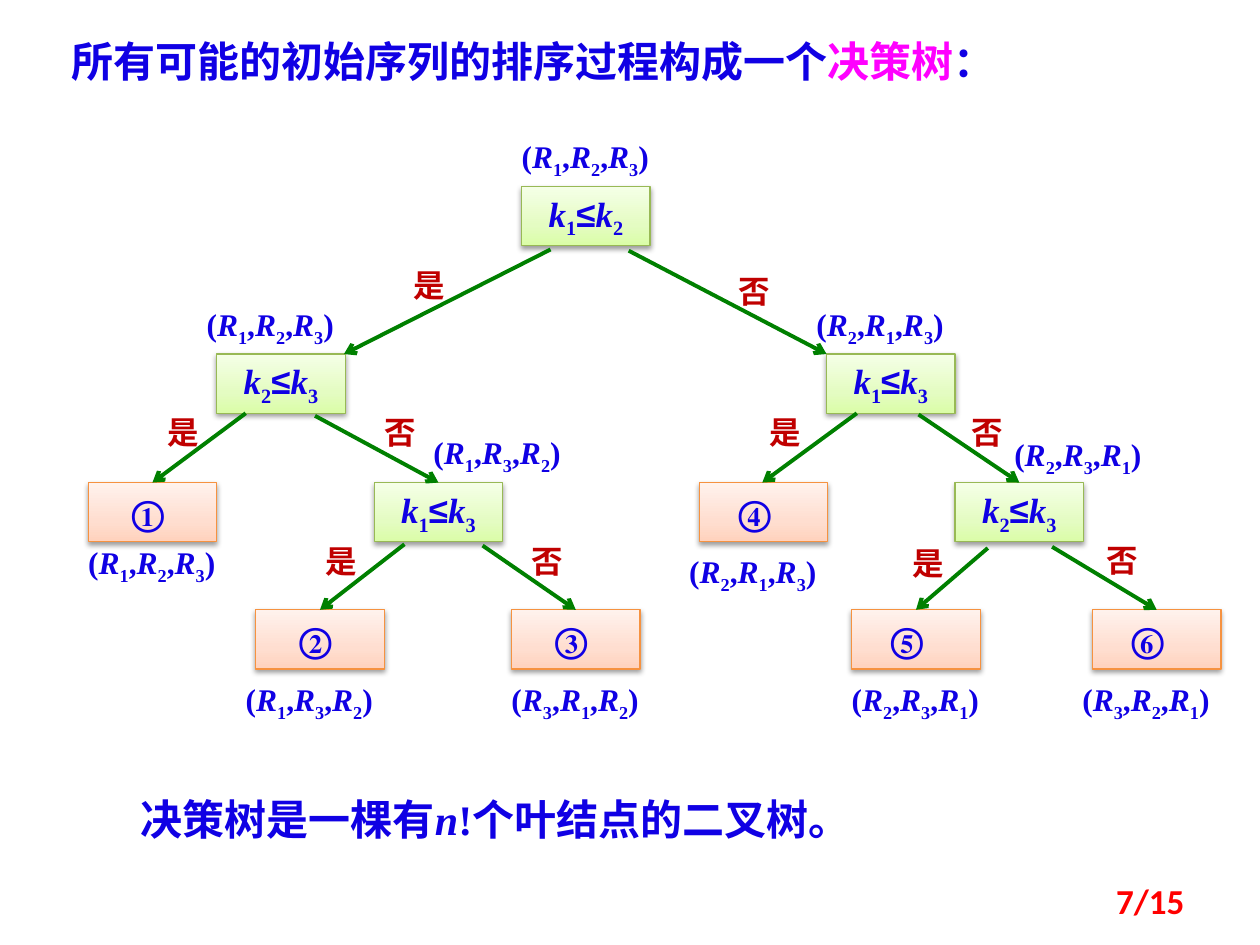
from dataclasses import dataclass

from lxml.etree import SubElement
from pptx import Presentation
from pptx.dml.color import RGBColor
from pptx.enum.shapes import MSO_CONNECTOR, MSO_SHAPE
from pptx.enum.text import MSO_ANCHOR, MSO_AUTO_SIZE, PP_ALIGN
from pptx.oxml.ns import qn
from pptx.util import Inches, Pt


@dataclass(frozen=True)
class Theme:
    ink: str = "1000E4"
    highlight: str = "FF00FF"
    answer: str = "C00000"
    arrow: str = "008000"
    page_number: str = "FF0000"
    test_line: str = "98B955"
    test_stops: tuple = ("DAFDA7", "E4FCC2", "F5FFE7")
    leaf_line: str = "F69240"
    leaf_stops: tuple = ("FFD2BD", "FFDED0", "FFF2ED")
    serif: str = "Times New Roman"
    symbol: str = "Arial"
    chinese: str = "Noto Sans CJK SC"
    sans: str = "Calibri"
    heading_size: int = 24
    node_size: int = 20
    label_size: int = 18


THEME = Theme()
NODE_WIDTH, NODE_HEIGHT = 1.02, 0.47


@dataclass(frozen=True)
class Span:
    text: str
    color: str = THEME.ink
    font: str = THEME.serif
    east_asian: str = THEME.serif
    italic: bool = False
    subscript: bool = False


@dataclass(frozen=True)
class Node:
    """A tree node: a test such as "12" (k1≤k2), or a circled leaf number."""
    left: float
    top: float
    content: str
    order: str
    order_left: float
    order_top: float
    leaf_shift: float = 0


@dataclass(frozen=True)
class Branch:
    start: tuple
    end: tuple
    answer: str
    answer_at: tuple


ROWS = (1.48, 2.81, 3.83, 4.84)
NODES = [
    Node(4.14, ROWS[0], "12", "123", 4.14, 1.09),
    Node(1.72, ROWS[1], "23", "123", 1.64, 2.42),
    Node(6.56, ROWS[1], "13", "213", 6.48, 2.42),
    Node(0.70, ROWS[2], "①", "123", 0.70, 4.31, 0.07),
    Node(2.97, ROWS[2], "13", "132", 3.44, 3.44),
    Node(5.55, ROWS[2], "④", "213", 5.47, 4.38, 0.14),
    Node(7.58, ROWS[2], "23", "231", 8.05, 3.45),
    Node(2.03, ROWS[3], "②", "132", 1.95, 5.40, 0.07),
    Node(4.06, ROWS[3], "③", "312", 4.06, 5.40, 0.07),
    Node(6.76, ROWS[3], "⑤", "231", 6.76, 5.40, 0.14),
    Node(8.67, ROWS[3], "⑥", "321", 8.59, 5.40, 0.14),
]
BRANCHES = [
    Branch((4.37, 1.98), (2.73, ROWS[1]), "是", (3.28, 2.11)),
    Branch((4.99, 1.99), (6.56, ROWS[1]), "否", (5.86, 2.16)),
    Branch((1.95, 3.28), (1.21, ROWS[2]), "是", (1.33, 3.28)),
    Branch((2.50, 3.30), (3.48, ROWS[2]), "否", (3.05, 3.28)),
    Branch((6.80, 3.28), (6.05, ROWS[2]), "是", (6.11, 3.28)),
    Branch((7.29, 3.29), (8.09, ROWS[2]), "否", (7.71, 3.28)),
    Branch((3.21, 4.32), (2.54, ROWS[3]), "是", (2.58, 4.30)),
    Branch((3.83, 4.33), (4.57, ROWS[3]), "否", (4.22, 4.30)),
    Branch((7.84, 4.35), (7.27, ROWS[3]), "是", (7.24, 4.32)),
    Branch((8.35, 4.34), (9.18, ROWS[3]), "否", (8.78, 4.29)),
]


def indexed(letter: str, index: str) -> list[Span]:
    return [Span(letter, italic=True), Span(index, subscript=True)]


def test_spans(pair: str) -> list[Span]:
    return [*indexed("k", pair[0]), Span("≤", font=THEME.symbol, east_asian=THEME.symbol),
            *indexed("k", pair[1])]


def order_spans(order: str) -> list[Span]:
    spans = [Span("(")]
    for position, index in enumerate(order):
        if position:
            spans.append(Span(","))
        spans += indexed("R", index)
    return spans + [Span(")")]


def chinese(text: str, color: str = THEME.ink, font: str = THEME.serif) -> Span:
    return Span(text, color, font, THEME.chinese)


def write(para, spans: list[Span], size: int) -> None:
    for span in spans:
        run = para.add_run()
        run.text = span.text
        font = run.font
        font.size = Pt(size)
        font.bold = True
        font.italic = span.italic
        font.name = span.font
        font.color.rgb = RGBColor.from_string(span.color)
        properties = run._r.get_or_add_rPr()
        SubElement(properties, qn("a:ea"), typeface=span.east_asian)
        if span.subscript:
            properties.set("baseline", "-25000")


def add_text(page, area: tuple, spans: list[Span], size: int, inset: bool = False):
    box = page.shapes.add_textbox(*map(Inches, area))
    frame = box.text_frame
    frame.word_wrap = True
    frame.auto_size = MSO_AUTO_SIZE.SHAPE_TO_FIT_TEXT
    if not inset:
        frame.margin_left = frame.margin_right = frame.margin_top = frame.margin_bottom = 0
    write(frame.paragraphs[0], spans, size)
    return box


def fill_upward(shape, colors: tuple) -> None:
    """Fill with a three-stop gradient that runs from bottom to top."""
    shape.fill.gradient()
    shape.fill.gradient_angle = 90
    stops = shape._element.spPr.find(".//" + qn("a:gsLst"))
    stops.clear()
    for position, color in zip((0, 35000, 100000), colors):
        stop = SubElement(stops, qn("a:gs"), pos=str(position))
        SubElement(stop, qn("a:srgbClr"), val=color)


def add_shadow(shape) -> None:
    shape.shadow.inherit = False
    effects = shape._element.spPr.find(qn("a:effectLst"))
    shadow = SubElement(effects, qn("a:outerShdw"), blurRad=str(Pt(3.1)), dist=str(Pt(1.6)),
                        dir="5400000", rotWithShape="0")
    color = SubElement(shadow, qn("a:srgbClr"), val="000000")
    SubElement(color, qn("a:alpha"), val="38000")


def draw_node(page, node: Node) -> None:
    is_test = node.content.isascii()
    shape = page.shapes.add_shape(MSO_SHAPE.RECTANGLE, Inches(node.left), Inches(node.top),
                                  Inches(NODE_WIDTH), Inches(NODE_HEIGHT))
    fill_upward(shape, THEME.test_stops if is_test else THEME.leaf_stops)
    shape.line.color.rgb = RGBColor.from_string(THEME.test_line if is_test else THEME.leaf_line)
    shape.line.width = Pt(0.75)
    add_shadow(shape)
    frame = shape.text_frame
    frame.vertical_anchor = MSO_ANCHOR.MIDDLE
    frame.margin_right = Inches(0.1 + node.leaf_shift)
    para = frame.paragraphs[0]
    para.alignment = PP_ALIGN.CENTER
    write(para, test_spans(node.content) if is_test else [Span(node.content)], THEME.node_size)
    add_text(page, (node.order_left, node.order_top, 1.17, 0.3),
             order_spans(node.order), THEME.label_size)


def draw_branch(page, branch: Branch) -> None:
    arrow = page.shapes.add_connector(MSO_CONNECTOR.STRAIGHT,
                                      *map(Inches, branch.start + branch.end))
    arrow.line.color.rgb = RGBColor.from_string(THEME.arrow)
    arrow.line.width = Pt(2.25)
    SubElement(arrow.line._get_or_add_ln(), qn("a:tailEnd"), type="arrow")
    SubElement(arrow._element.spPr, qn("a:effectLst"))
    add_text(page, (*branch.answer_at, 0.23, 0.3),
             [chinese(branch.answer, THEME.answer, THEME.chinese)], THEME.label_size)


def draw_title(page) -> None:
    title = page.shapes.title
    title.left, title.top, title.width, title.height = map(Inches, (0.47, 0.23, 8.13, 0.5))
    frame = title.text_frame
    frame.vertical_anchor = MSO_ANCHOR.TOP
    frame.auto_size = MSO_AUTO_SIZE.SHAPE_TO_FIT_TEXT
    para = frame.paragraphs[0]
    para.alignment = PP_ALIGN.LEFT
    write(para, [chinese("所有可能的初始序列的排序过程构成一个"),
                 chinese("决策树", THEME.highlight), chinese("：")], THEME.heading_size)


def main() -> None:
    deck = Presentation()
    deck.slide_width, deck.slide_height = Inches(10), Inches(7.5)
    page = deck.slides.add_slide(deck.slide_layouts[5])
    draw_title(page)
    for node in NODES:
        draw_node(page, node)
    for branch in BRANCHES:
        draw_branch(page, branch)
    add_text(page, (1.02, 6.25, 6.64, 0.5),
             [chinese("决策树是一棵有"), Span("n", italic=True), chinese("!个叶结点的二叉树。")],
             THEME.heading_size, inset=True)
    number = add_text(page, (7.17, 6.95, 2.33, 0.4),
                      [Span("7/15", THEME.page_number, THEME.sans)], THEME.node_size, inset=True)
    number.text_frame.vertical_anchor = MSO_ANCHOR.MIDDLE
    number.text_frame.paragraphs[0].alignment = PP_ALIGN.RIGHT
    deck.save("out.pptx")


if __name__ == "__main__":
    main()
